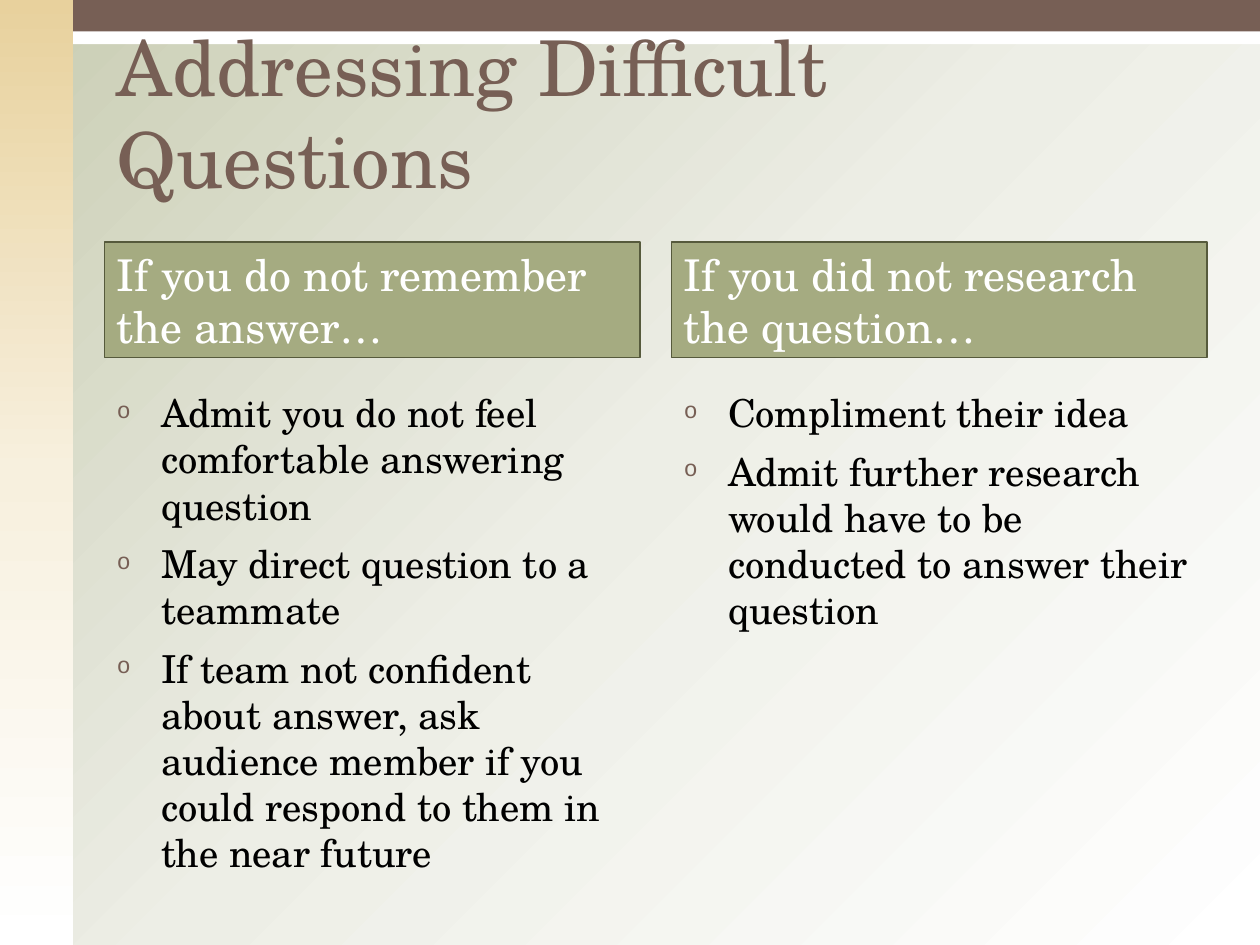
"""Build the "Addressing Difficult Questions" comparison slide."""
from dataclasses import dataclass

import pptx
import pptx.dml.color
import pptx.enum.shapes
import pptx.enum.text
import pptx.oxml
import pptx.oxml.ns
import pptx.util
from pptx.util import Inches


@dataclass(frozen=True)
class Theme:
    font: str = "TeX Gyre Schola"
    bullet_font: str = "Courier New"
    brown: str = "775F55"
    green: str = "A5AB81"
    outline: str = "565A3C"
    white: str = "FFFFFF"
    black: str = "000000"
    page: tuple = ("C9CDB3", "EDEEE6", "FFFFFF")
    side: tuple = ("E8D19D", "F7F0DE", "FFFFFF")
    title_pt: int = 44
    heading_pt: int = 25
    body_pt: int = 22
    space_pt: int = 7


def set_gradient(fill, element, colors, angle):
    fill.gradient()
    fill.gradient_angle = 360 - angle
    stops = next(element.iter(pptx.oxml.ns.qn("a:gsLst")))
    for stop in list(stops):
        stops.remove(stop)
    for i, color in enumerate(colors):
        stops.append(pptx.oxml.parse_xml(
            f'<a:gs {pptx.oxml.ns.nsdecls("a")} pos="{i * 50000}">'
            f'<a:srgbClr val="{color}"/></a:gs>'))


def set_text(sp, lines, size, color, anchor, bullet=False):
    tf = sp.text_frame
    tf.word_wrap = True
    tf.vertical_anchor = anchor
    tf.text = "\n".join(lines)
    for i, p in enumerate(tf.paragraphs):
        p.alignment = pptx.enum.text.PP_ALIGN.LEFT
        if i:
            p.space_before = pptx.util.Pt(theme.space_pt)
        if bullet:
            pPr = p._p.get_or_add_pPr()
            pPr.set("marL", str(Inches(0.35)))
            pPr.set("indent", str(Inches(-0.35)))
            for xml in (f'<a:buClr {ns}><a:srgbClr val="{theme.brown}"/></a:buClr>',
                        f'<a:buSzPct {ns} val="60000"/>',
                        f'<a:buFont {ns} typeface="{theme.bullet_font}"/>',
                        f'<a:buChar {ns} char="o"/>'):
                pPr.append(pptx.oxml.parse_xml(xml))
        for r in p.runs:
            r.font.name = theme.font
            r.font.size = pptx.util.Pt(size)
            r.font.color.rgb = rgb(color)


theme = Theme()
rgb = pptx.dml.color.RGBColor.from_string
ns = pptx.oxml.ns.nsdecls("a")
rect = pptx.enum.shapes.MSO_SHAPE.RECTANGLE
anchors = pptx.enum.text.MSO_ANCHOR

prs = pptx.Presentation()
prs.slide_width, prs.slide_height = Inches(10), Inches(7.5)
s = prs.slides.add_slide(prs.slide_layouts[6])
set_gradient(s.background.fill, s._element, theme.page, 45)

bands = [
    (0, 0, 10, 0.35, theme.white),
    (0, 0, 0.58, 7.5, theme.side),
    (0.58, 0, 9.42, 0.25, theme.brown),
]
for *box, color in bands:
    sp = s.shapes.add_shape(rect, *map(Inches, box))
    sp.shadow.inherit = False
    sp.line.fill.background()
    if isinstance(color, tuple):
        set_gradient(sp.fill, sp._element, color, 90)
    else:
        sp.fill.solid()
        sp.fill.fore_color.rgb = rgb(color)

columns = [
    ("If you do not remember the answer…",
     ["Admit you do not feel comfortable answering question",
      "May direct question to a teammate",
      "If team not confident about answer, ask audience member if you "
      "could respond to them in the near future"]),
    ("If you did not research the question…",
     ["Compliment their idea",
      "Admit further research would have to be conducted to answer their question"]),
]
left, width, pitch = 0.83, 4.25, 4.5
for i, (heading, points) in enumerate(columns):
    x = Inches(left + i * pitch)
    sp = s.shapes.add_textbox(x, Inches(3.04), Inches(width), Inches(3.92))
    set_text(sp, points, theme.body_pt, theme.black, anchors.TOP, bullet=True)

    sp = s.shapes.add_shape(rect, x, Inches(1.92), Inches(width), Inches(0.92))
    sp.shadow.inherit = False
    sp.fill.solid()
    sp.fill.fore_color.rgb = rgb(theme.green)
    sp.line.color.rgb = rgb(theme.outline)
    sp.line.width = pptx.util.Pt(0.75)
    set_text(sp, [heading], theme.heading_pt, theme.white, anchors.MIDDLE)

sp = s.shapes.add_textbox(Inches(left), Inches(0.42), Inches(8.75), Inches(1.25))
set_text(sp, ["Addressing Difficult Questions"], theme.title_pt, theme.brown,
         anchors.BOTTOM)

prs.save("out.pptx")
